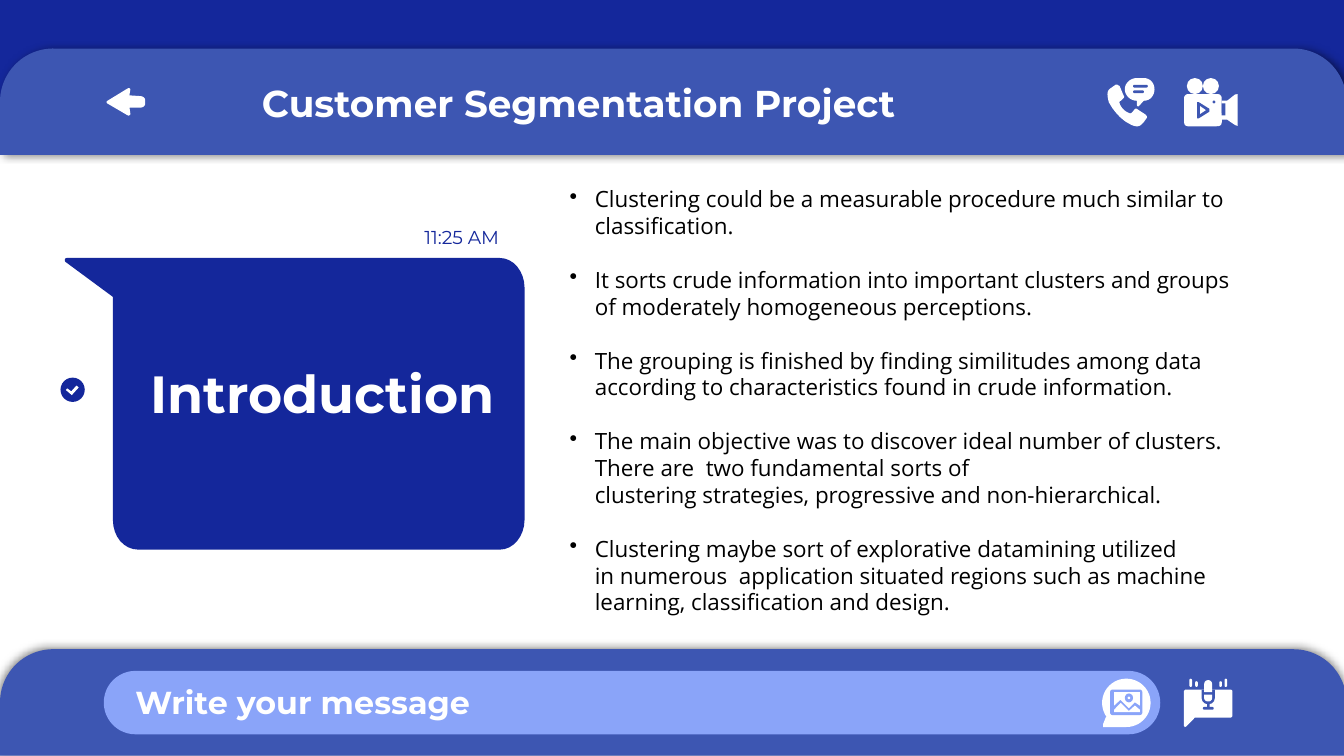
import pptx
import pptx.dml.color
import pptx.enum.shapes
import pptx.enum.text
import pptx.oxml
import pptx.oxml.ns
import pptx.util
import lxml.etree

Pt = pptx.util.Pt
MSO = pptx.enum.shapes.MSO_SHAPE
ALIGN = pptx.enum.text.PP_ALIGN
ANCHOR = pptx.enum.text.MSO_ANCHOR

NAVY, BLUE, SKY, WHITE, BLACK = "14279B", "3D56B2", "8AA4F9", "FFFFFF", "000000"

# "~" stands for a no-break space
POINTS = [
    "Clustering~could be a~measurable~procedure~much similar to classification.",
    "It sorts~crude~information~into~important~clusters and groups of~moderately~homogeneous~perceptions.",
    "The grouping is~finished~by finding~similitudes~among data according to characteristics found in~crude~information.",
    "The main objective was to~discover~ideal~number of clusters. There are  two~fundamental~sorts~of "
    "clustering~strategies,~progressive~and non-hierarchical.",
    "Clustering~maybe~sort~of explorative datamining utilized in~numerous~ application~situated~regions~such as machine "
    "learning, classification and~design.",
]

# text, box, size, colour, bold, alignment, anchor
LABELS = [
    ("Introduction", (71.3, 184.3, 203, 51.8), 28, WHITE, True, ALIGN.CENTER, ANCHOR.MIDDLE),
    ("Customer Segmentation Project", (133.2, 35.3, 380.9, 38.9), 20, WHITE, True, ALIGN.LEFT, ANCHOR.MIDDLE),
    ("Write your message", (65.5, 359.3, 268.6, 33.8), 17, WHITE, True, ALIGN.LEFT, ANCHOR.MIDDLE),
    ("11:25 AM", (213.1, 115.2, 61.2, 23), 10, NAVY, False, ALIGN.RIGHT, ANCHOR.TOP),
]

# Outlines: a pair is a straight step, six numbers are a Bezier step
SPEECH_BUBBLE = [
    (36, 138.25), (35.2, 138.25, 34.7, 138.7, 34.7, 139.3), (34.7, 139.9, 35, 140.2, 35.3, 140.5),
    (60.5, 159.1), (60.5, 278.6), (60.5, 287.3, 66.2, 294.5, 74.2, 294.5), (267.8, 294.5),
    (275, 294.5, 281, 287.3, 281, 278.6), (281, 154.1), (281, 145.4, 275, 138.25, 267.8, 138.25)]
BACK_ARROW = [
    (57.6, 54), (56.9, 54.4, 56.9, 55.1, 57.6, 55.5), (68.4, 61.8), (69.2, 62.1, 70, 61.6, 69.8, 60.6),
    (69.4, 57.7), (74.9, 57.7), (76.6, 57.7, 77.8, 56.8, 77.8, 55.4), (77.8, 54),
    (77.8, 52.4, 76.6, 51.6, 75.2, 51.5), (69.3, 51.1), (69.8, 48.2), (69.9, 47.3, 69, 47, 68.4, 47.4)]
HANDSET = [
    (598.5, 45.4), (598, 45.2, 597.6, 45.4, 597.2, 45.8), (594.7, 47.5), (592.6, 49, 593.3, 51.8, 594, 54.7),
    (596.2, 59, 600.5, 64.1, 604.8, 66.2), (606.2, 67, 607.7, 67.7, 609.1, 67.7),
    (610.6, 67.7, 611.3, 67, 612.7, 65.5), (614.2, 63.4), (614.9, 62.6, 614.2, 61.9, 613.4, 61.2),
    (609.1, 58.4), (608.6, 58, 608, 58.2, 607.6, 59), (606.2, 60.5), (605.7, 60.8, 605.2, 60.8, 604.8, 60.5),
    (602.6, 59.8, 600.5, 57.6, 599.8, 55.4), (599.6, 54.7, 599.8, 54, 600.5, 54), (601.9, 52.6),
    (602.4, 52, 602.4, 51.6, 601.9, 51.1), (599.8, 46.1)]
CALL_BUBBLE = [
    (609.1, 41.8), (605.5, 41.8, 602.6, 44.6, 602.6, 47.8), (602.6, 51.1, 605.5, 54, 609.1, 54), (609.1, 56.2),
    (609.1, 56.9, 609.6, 57.1, 610.1, 56.9), (612.7, 54), (616.3, 54, 618.5, 51.1, 618.5, 47.8),
    (618.5, 44.6, 616.3, 41.8, 612.7, 41.8)]
CAMERA_LENS = [(654.5, 54), (657.4, 54), (661.7, 50.6), (663.1, 50.4), (663.1, 67.5), (661.7, 67),
               (657.4, 64.1), (654.5, 64.1)]
PLAY_RING = [(641.3, 54.7), (642.2, 54.7), (648, 58.3), (648, 59.8), (642.2, 63.4), (641.3, 63.4)]
PLAY = [(643, 56.9), (643, 61), (646, 59)]
VOICE_BUBBLE = [(635, 369.4), (659.5, 369.4), (660.2, 370.1), (660.2, 383.8), (659.5, 384.5), (640.1, 384.5),
                (635.5, 389.2), (634.7, 389.5), (634.3, 388.8), (634.3, 370.1)]
PICTURE_TAIL = [(592.5, 384), (590.9, 388), (590.9, 389.5), (603.4, 389.5), (603.4, 380)]
PICTURE_SKY = [(596.9, 370.8), (596.9, 378), (600.3, 374.9), (604.8, 379.4), (608, 376.3), (610.6, 378),
               (610.6, 370.8)]
PICTURE_HILLS = [(600.4, 376.6), (596.9, 380.2), (596.9, 381.6), (610.6, 381.6), (610.6, 380.2), (608, 378),
                 (604.8, 380.9)]
TICK = [(36, 208.1), (38.2, 209.7), (41, 206.6), (42.2, 207.6), (38.5, 211.7), (35.3, 209)]


def bar(left, top, width, height, colour):
    """A fully rounded bar."""
    return MSO.ROUNDED_RECTANGLE, (left, top, width, height), colour, [0.5]


# Back to front: (preset, box, colour, adjustments) or (outline, colour)
ICONS = [
    (SPEECH_BUBBLE, NAVY),
    (BACK_ARROW, WHITE),
    (HANDSET, WHITE), (CALL_BUBBLE, WHITE), bar(607, 45.4, 7.9, 1.5, BLUE), bar(607, 48.4, 5.8, 1.6, BLUE),
    (MSO.ROUNDED_RECTANGLE, (634.3, 50.4, 20.2, 17.3), WHITE, [0.12]), (CAMERA_LENS, WHITE),
    (MSO.RECTANGLE, (654.5, 55.4, 2, 6.5), BLUE, []), (PLAY_RING, BLUE), (PLAY, WHITE),
    (MSO.OVAL, (649.6, 53.9, 1.5, 1.5), BLUE, []),
    *[(MSO.OVAL, (left, 41.8, 8.6, 8.6), WHITE, []) for left in (635.8, 644.4)],
    *[bar(left, top, 1.4, 368 - top, WHITE)
      for left, top in ((637.2, 363.6), (640.3, 365), (653.2, 365), (656, 363.6))],
    (VOICE_BUBBLE, WHITE),
    (MSO.ROUND_2_SAME_RECTANGLE, (643.7, 369.4, 7.2, 7.9), BLUE, [0, 0.5]),
    (MSO.RECTANGLE, (646.6, 377, 1.4, 2), BLUE, []), bar(644.4, 378.7, 5.8, 1.5, BLUE),
    (MSO.ROUND_2_SAME_RECTANGLE, (645.1, 364.3, 4.3, 6.5), WHITE, [0.5, 0]),
    (MSO.ROUND_2_SAME_RECTANGLE, (645.1, 372.2, 4.3, 3.6), WHITE, [0, 0.5]),
    (MSO.OVAL, (590.4, 363.6, 26, 25.9), WHITE, []), (PICTURE_TAIL, WHITE),
    (MSO.ROUNDED_RECTANGLE, (594.7, 369.4, 17.3, 13.7), SKY, [0.1]),
    (PICTURE_SKY, WHITE), (PICTURE_HILLS, WHITE),
    (MSO.OVAL, (602.6, 371.5, 4.4, 4.8), SKY, []), (MSO.OVAL, (604.1, 373.2, 1.4, 1.4), WHITE, []),
    (MSO.OVAL, (32.4, 202.3, 13, 13), NAVY, []), (TICK, WHITE),
]


def rgb(colour):
    return pptx.dml.color.RGBColor.from_string(colour)


def paint(shape, colour):
    shape.shadow.inherit = False
    shape.fill.solid()
    shape.fill.fore_color.rgb = rgb(colour)
    shape.line.fill.background()
    return shape


def add_preset(slide, preset, box, colour, adjustments=()):
    shape = slide.shapes.add_shape(preset, *map(Pt, box))
    for index, value in enumerate(adjustments):
        shape.adjustments[index] = value
    return paint(shape, colour)


def add_outline(slide, steps, colour, pieces=8):
    vertices = [steps[0]]
    for step in steps[1:]:
        if len(step) == 2:
            vertices.append(step)
            continue
        start, first, second, end = vertices[-1], step[:2], step[2:4], step[4:]
        for t in (i / pieces for i in range(1, pieces + 1)):
            u = 1 - t
            vertices.append(tuple(u**3 * a + 3 * u * u * t * b + 3 * u * t * t * c + t**3 * d
                                  for a, b, c, d in zip(start, first, second, end)))
    grid = [(100 * x, 100 * y) for x, y in vertices]  # hundredths of a point
    builder = slide.shapes.build_freeform(*grid[0], scale=Pt(1) / 100)
    builder.add_line_segments(grid[1:], close=True)
    return paint(builder.convert_to_shape(), colour)


def add_shadow(shape, direction):
    effects = shape._element.spPr.find(pptx.oxml.ns.qn("a:effectLst"))
    effects.append(pptx.oxml.parse_xml(
        f'<a:outerShdw {pptx.oxml.ns.nsdecls("a")} blurRad="{Pt(4.5)}" dist="{Pt(1.5)}" '
        f'dir="{direction * 60000}" algn="bl" rotWithShape="0">'
        '<a:srgbClr val="000000"><a:alpha val="50000"/></a:srgbClr></a:outerShdw>'))


def add_run(paragraph, text, font, size, colour, bold=False):
    run = paragraph.add_run()
    run.text = text
    run.font.name, run.font.size, run.font.bold = font, Pt(size), bold
    run.font.color.rgb = rgb(colour)


def add_label(slide, text, box, size, colour, bold, alignment, anchor):
    frame = slide.shapes.add_textbox(*map(Pt, box)).text_frame
    frame.word_wrap = True
    frame.vertical_anchor = anchor
    frame.margin_left = frame.margin_right = frame.margin_top = frame.margin_bottom = Pt(7.2)
    frame.paragraphs[0].alignment = alignment
    add_run(frame.paragraphs[0], text, "Montserrat", size, colour, bold)


def add_points(slide, points, box, line=14.4, indent=13.5):
    frame = slide.shapes.add_textbox(*map(Pt, box)).text_frame
    frame.word_wrap = True
    for index, point in enumerate(points):
        paragraph = frame.add_paragraph() if index else frame.paragraphs[0]
        paragraph.line_spacing = Pt(line)
        if index:
            paragraph.space_before = Pt(line)
        add_run(paragraph, point.replace("~", chr(160)), "Open Sans", 12, BLACK)
        properties = paragraph._p.get_or_add_pPr()
        properties.set("marL", str(Pt(indent)))
        properties.set("indent", str(Pt(-indent)))
        bullet = lxml.etree.SubElement(properties, pptx.oxml.ns.qn("a:buChar"))
        bullet.set("char", "•")


def main():
    deck = pptx.Presentation()
    deck.slide_width, deck.slide_height = Pt(720), Pt(405)
    slide = deck.slides.add_slide(deck.slide_layouts[6])
    add_preset(slide, MSO.RECTANGLE, (0, -0.7, 721.4, 73.4), NAVY)
    for top, direction in ((26, 0), (347.8, 237)):
        panel = add_preset(slide, MSO.ROUND_2_SAME_RECTANGLE, (0, top, 721.4, 57), BLUE, (0.5, 0))
        add_shadow(panel, direction)
    add_preset(slide, *bar(55.6, 359.4, 566, 34, SKY))
    for icon in ICONS:
        draw = add_outline if len(icon) == 2 else add_preset
        draw(slide, *icon)
    for label in LABELS:
        add_label(slide, *label)
    add_points(slide, POINTS, (298.1, 95.8, 388.1, 239.8))
    deck.save("out.pptx")


if __name__ == "__main__":
    main()
